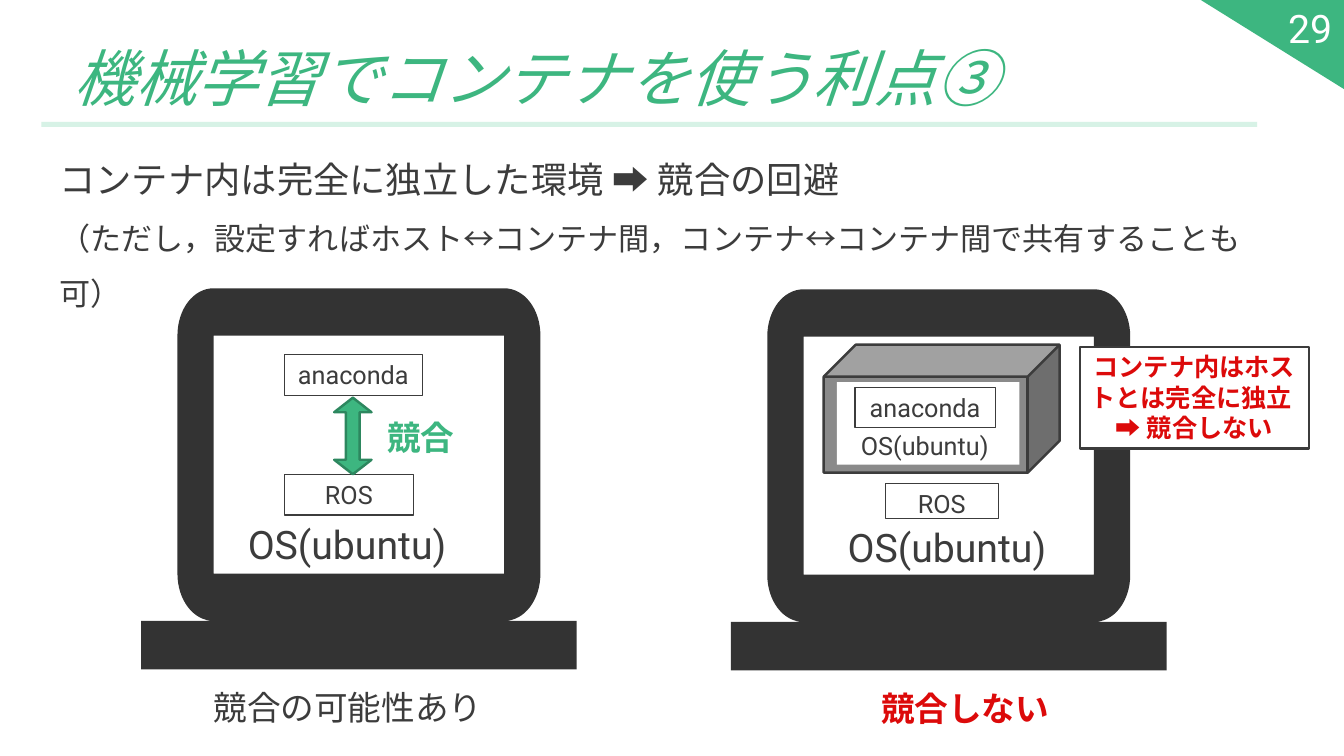
from lxml.etree import SubElement
from pptx import Presentation
from pptx.dml.color import RGBColor
from pptx.enum.shapes import MSO_SHAPE as SHAPE
from pptx.enum.text import MSO_ANCHOR as ANCHOR, PP_ALIGN as ALIGN
from pptx.oxml.ns import qn
from pptx.util import Pt

PX = 9144
FONT = "Roboto"
GREEN = RGBColor(0x3D, 0xB6, 0x80)
DARK_GREEN = RGBColor(0x2D, 0x87, 0x5F)
PALE_GREEN = RGBColor(0xD7, 0xF2, 0xE6)
INK = RGBColor(0x3C, 0x3C, 0x3C)
CASE = RGBColor(0x33, 0x33, 0x33)
GRAY = RGBColor(0x8A, 0x8A, 0x8A)
RED = RGBColor(0xDC, 0x0A, 0x0A)
WHITE = RGBColor(0xFF, 0xFF, 0xFF)


def emu(*lengths):
    return [length * PX for length in lengths]


def write(frame, *lines, sizes=(18,), color=INK, bold=False, italic=False,
          align=ALIGN.LEFT, anchor=ANCHOR.TOP, spacing=None):
    frame.word_wrap = True
    frame.vertical_anchor = anchor
    for index, line in enumerate(lines):
        paragraph = frame.add_paragraph() if index else frame.paragraphs[0]
        paragraph.alignment = align
        paragraph.line_spacing = spacing
        run = paragraph.add_run()
        run.text = line
        font = run.font
        font.name = FONT
        font.size = Pt(sizes[index % len(sizes)])
        font.bold = bold
        font.italic = italic
        font.color.rgb = color
        properties = run._r.get_or_add_rPr()
        properties.set("lang", "ja-JP")
        SubElement(properties, qn("a:ea"), typeface=FONT)


def label(slide, box, *lines, **style):
    write(slide.shapes.add_textbox(*emu(*box)).text_frame, *lines, **style)


def paint(shape, fill=None, line=None, width=0.75):
    shape.shadow.inherit = False
    if fill is None:
        shape.fill.background()
    else:
        shape.fill.solid()
        shape.fill.fore_color.rgb = fill
    if line is None:
        shape.line.fill.background()
    else:
        shape.line.color.rgb = line
        shape.line.width = Pt(width)
    return shape


def draw(slide, kind, box, **style):
    return paint(slide.shapes.add_shape(kind, *emu(*box)), **style)


def software(slide, name, box):
    tile = draw(slide, SHAPE.RECTANGLE, box, line=INK)
    write(tile.text_frame, name, align=ALIGN.CENTER)


def round_corner(segment, start, corner, end):
    segment.tag = qn("a:cubicBezTo")
    segment.clear()
    controls = [[round(a + 0.56 * (b - a)) for a, b in zip(edge, corner)]
                for edge in (start, end)]
    for x, y in (*controls, end):
        SubElement(segment, qn("a:pt"), x=str(x), y=str(y))


def laptop(slide, left, top):
    def at(points):
        return [emu(left + x, top + y) for x, y in points]

    outline = [(0, 330), (72, 330), (36, 283), (36, 47), (72, 0), (360, 0),
               (396, 47), (396, 283), (360, 330), (432, 330), (432, 378), (0, 378)]
    screen = [(72, 47), (72, 283), (360, 283), (360, 47)]
    corners = {2: (36, 330), 4: (36, 0), 6: (396, 0), 8: (396, 330)}

    first, *rest = at(outline)
    builder = slide.shapes.build_freeform(*first)
    builder.add_line_segments(rest, close=True)
    first, *rest = at(screen)
    builder.move_to(*first)
    builder.add_line_segments(rest, close=True)
    case = paint(builder.convert_to_shape(), fill=CASE)
    segments = list(next(case._element.iter(qn("a:path"))))
    for index, corner in corners.items():
        round_corner(segments[index], emu(*outline[index - 1]), emu(*corner),
                     emu(*outline[index]))


def header(slide, left, top):
    corner = draw(slide, SHAPE.RIGHT_TRIANGLE, (left + 1191, top, 143, 89), fill=GREEN)
    corner.rotation = 180
    draw(slide, SHAPE.RECTANGLE, (left + 41, top + 121, 1206, 5), fill=PALE_GREEN)
    title = slide.shapes.title
    title.left, title.top, title.width, title.height = emu(left + 63, top + 30, 1206, 88)
    write(title.text_frame, "機械学習でコンテナを使う利点③", sizes=(44,),
          color=GREEN, italic=True, anchor=ANCHOR.BOTTOM)
    label(slide, (left + 1143, top + 8, 188, 40), "29", sizes=(28,), color=WHITE,
          align=ALIGN.RIGHT, anchor=ANCHOR.MIDDLE)


def summary(slide, left, top):
    label(slide, (left, top, 1242, 145),
          "コンテナ内は完全に独立した環境 ➡ 競合の回避",
          "（ただし，設定すればホスト↔コンテナ間，コンテナ↔コンテナ間で共有することも可）",
          sizes=(25.9, 22.2), spacing=1.5)


def shared_host(slide, left, top):
    laptop(slide, left, top)
    label(slide, (left + 96, top + 225, 230, 57), "OS(ubuntu)", sizes=(28,))
    software(slide, "anaconda", (left + 142, top + 66, 137, 40))
    software(slide, "ROS", (left + 142, top + 185, 128, 40))
    conflict = draw(slide, SHAPE.LEFT_RIGHT_ARROW, (left + 172, top + 128, 76, 37),
                    fill=GREEN, line=DARK_GREEN, width=1.75)
    conflict.rotation = 270
    conflict.adjustments[0] = 0.37
    conflict.adjustments[1] = 0.39
    label(slide, (left + 234, top + 123, 105, 50), "競合", sizes=(24,),
          color=GREEN, bold=True)
    label(slide, (left + 62, top + 391, 293, 50), "競合の可能性あり", sizes=(24,))


def container_host(slide, left, top):
    label(slide, (left + 106, top + 227, 223, 57), "OS(ubuntu)", sizes=(28,))
    draw(slide, SHAPE.CUBE, (left + 92, top + 55, 234, 127),
         fill=GRAY, line=INK, width=1.75)
    draw(slide, SHAPE.RECTANGLE, (left + 105, top + 92, 181, 82), fill=WHITE)
    label(slide, (left + 119, top + 135, 155, 40), "OS(ubuntu)")
    software(slide, "anaconda", (left + 123, top + 97, 139, 40))
    software(slide, "ROS", (left + 153, top + 193, 112, 34))
    laptop(slide, left, top)
    label(slide, (left + 139, top + 391, 187, 50), "競合しない", sizes=(24,),
          color=RED, bold=True)
    callout = draw(slide, SHAPE.RECTANGLE, (left + 346, top + 57, 227, 101),
                   fill=WHITE, line=INK, width=1.5)
    write(callout.text_frame, "コンテナ内はホストとは完全に独立 ", "➡ 競合しない",
          color=RED, bold=True, align=ALIGN.CENTER)


def main():
    deck = Presentation()
    deck.slide_width, deck.slide_height = emu(1333, 750)
    slide = deck.slides.add_slide(deck.slide_layouts[5])
    header(slide, 0, 0)
    summary(slide, 49, 129)
    shared_host(slide, 140, 286)
    container_host(slide, 725, 287)
    deck.save("out.pptx")


if __name__ == "__main__":
    main()
